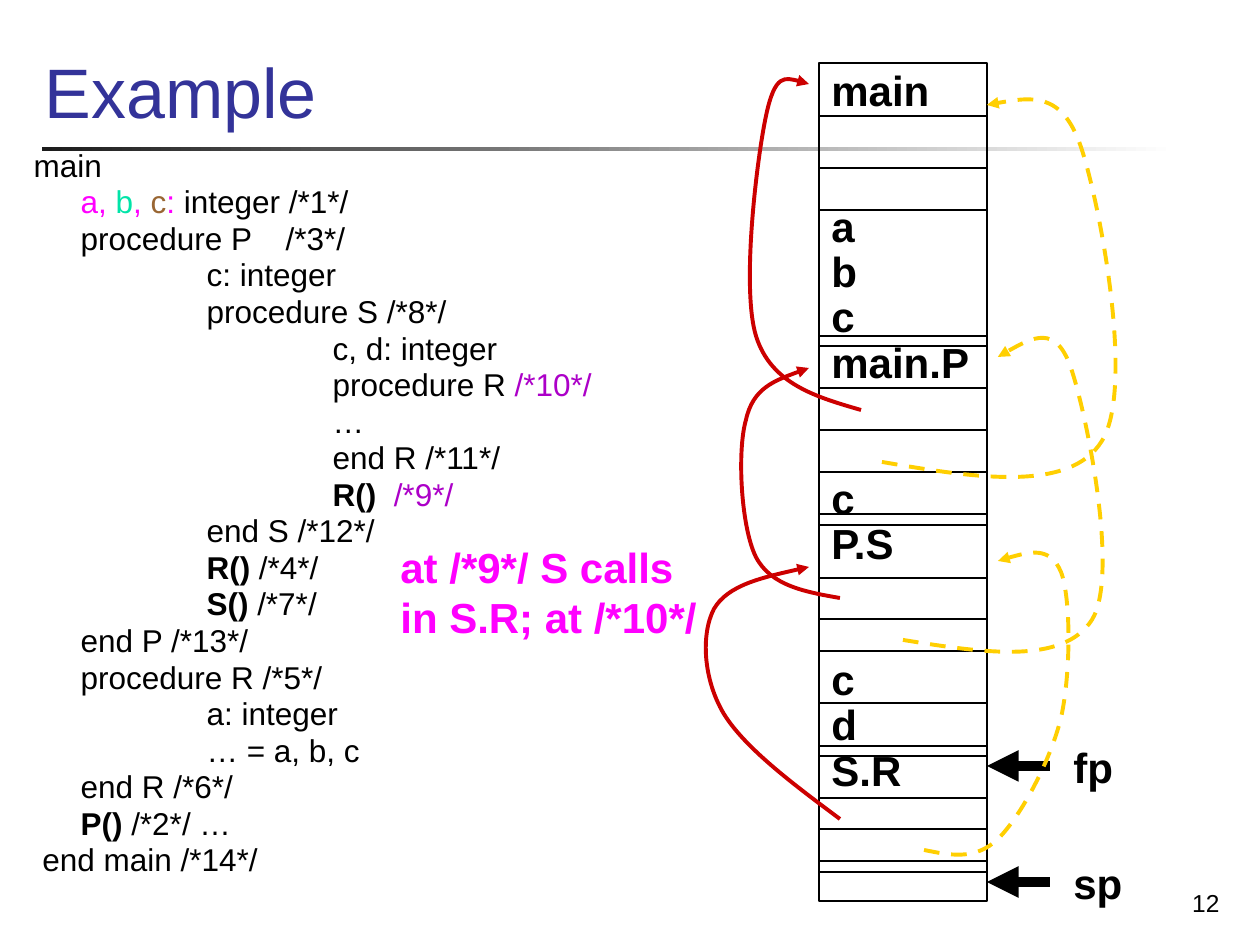
from dataclasses import dataclass, field
from typing import NamedTuple, Optional

from lxml.etree import SubElement
from pptx import Presentation
from pptx.dml.color import RGBColor
from pptx.enum.dml import MSO_LINE
from pptx.enum.shapes import MSO_CONNECTOR, MSO_SHAPE
from pptx.enum.text import MSO_ANCHOR, MSO_AUTO_SIZE, PP_ALIGN
from pptx.oxml.ns import qn
from pptx.util import Emu, Inches, Pt

SCALE = 914400 / 126
BLACK, MAGENTA, PURPLE = "000000", "FF00FF", "AC00C8"
RED, YELLOW = "CC0000", "FFCF01"
INDENTS = (0, 47, 173, 299)
STACK_LEFT, STACK_RIGHT = 819, 987
STACK_PITCH = 25.9


class Span(NamedTuple):
    text: str
    color: str = BLACK
    bold: bool = False


@dataclass
class Line:
    spans: list[Span]
    level: int = 0
    tab: Optional[int] = None
    format: dict = field(default_factory=dict)


class Curve(NamedTuple):
    color: str
    dashed: bool
    points: list[tuple[int, int]]


def px(length: float) -> Emu:
    return Emu(round(length * SCALE))


def rgb(color: str) -> RGBColor:
    return RGBColor.from_string(color)


def apply(target, values: dict) -> None:
    for name, value in values.items():
        setattr(target, name, value)


def place(box, left: int, top: int, width: int, height: int) -> None:
    apply(box, {"left": px(left), "top": px(top), "width": px(width), "height": px(height)})


def write(box, lines: list[Line], size: int, wrap: bool = True,
          anchor: MSO_ANCHOR = MSO_ANCHOR.TOP) -> None:
    frame = box.text_frame
    apply(frame, {"word_wrap": wrap, "auto_size": MSO_AUTO_SIZE.NONE,
                  "vertical_anchor": anchor})
    for index, line in enumerate(lines):
        para = frame.paragraphs[0] if index == 0 else frame.add_paragraph()
        apply(para, {"alignment": PP_ALIGN.LEFT} | line.format)
        properties = para._p.get_or_add_pPr()
        properties.set("marL", "0")
        properties.set("indent", str(px(INDENTS[line.level])))
        SubElement(properties, qn("a:buNone"))
        if line.tab:
            stops = SubElement(properties, qn("a:tabLst"))
            SubElement(stops, qn("a:tab"), pos=str(px(line.tab)), algn="l")
        for span in line.spans:
            run = para.add_run()
            run.text = span.text
            apply(run.font, {"name": "Arial", "size": Pt(size), "bold": span.bold})
            run.font.color.rgb = rgb(span.color)


def add_text(page, at: tuple, lines: list[Line], size: int, **options) -> None:
    write(page.shapes.add_textbox(*map(px, at)), lines, size, **options)


def style_line(shape, color: str, width: float, arrow: bool = False) -> None:
    shape.line.color.rgb = rgb(color)
    shape.line.width = Pt(width)
    if arrow:
        SubElement(shape.line._get_or_add_ln(), qn("a:tailEnd"), type="triangle")


def add_line(page, start: tuple, end: tuple, width: float, arrow: bool = False) -> None:
    line = page.shapes.add_connector(MSO_CONNECTOR.STRAIGHT, *map(px, start + end))
    style_line(line, BLACK, width, arrow)
    SubElement(line._element.spPr, qn("a:effectLst"))


def add_curve(page, curve: Curve) -> None:
    builder = page.shapes.build_freeform(*curve.points[0], scale=SCALE)
    builder.add_line_segments(curve.points[1:], close=False)
    shape = builder.convert_to_shape()
    # Every three points become one cubic segment
    segments = shape._element.xpath(".//a:lnTo")
    outline = segments[0].getparent()
    for index, segment in enumerate(segments):
        if index % 3 == 0:
            cubic = SubElement(outline, qn("a:cubicBezTo"))
        cubic.append(segment[0])
        outline.remove(segment)
    shape.shadow.inherit = False
    shape.fill.background()
    if curve.dashed:
        shape.line.dash_style = MSO_LINE.DASH
    style_line(shape, curve.color, 2.25, arrow=True)


def code(level: int, *spans, tab: Optional[int] = None) -> Line:
    parts = [Span(span) if isinstance(span, str) else span for span in spans]
    return Line(parts, level, tab, {"line_spacing": Pt(17.3), "space_before": Pt(3.6)})


def call(name: str) -> Span:
    return Span(name, bold=True)


PROGRAM = [
    code(0, "main"),
    code(1, Span("a,", MAGENTA), Span(" b", "00E4A8"), Span(",", MAGENTA),
         Span(" c", "996633"), Span(": ", MAGENTA), "integer /*1*/"),
    code(1, "procedure P\t/*3*/", tab=254),
    code(2, "c: integer"),
    code(2, "procedure S /*8*/"),
    code(3, "c, d: integer"),
    code(3, "procedure R ", Span("/*10*/", PURPLE)),
    code(3, "…"),
    code(3, "end R /*11*/"),
    code(3, call("R()  "), Span("/*9*/", PURPLE)),
    code(2, "end S /*12*/"),
    code(2, call("R()"), " /*4*/"),
    code(2, call("S()"), " /*7*/"),
    code(1, "end P /*13*/"),
    code(1, "procedure R /*5*/"),
    code(2, "a: integer"),
    code(2, "… = a, b, c"),
    code(1, "end R /*6*/"),
    code(1, call("P()"), " /*2*/ …"),
    code(0, " end main /*14*/"),
]
# Each stack entry with the number of empty rows above it
STACK = [("main", 0), ("a", 2), ("b", 0), ("c", 0), ("main.P", 0),
         ("c", 2), ("P.S", 0), ("c", 2), ("d", 0), ("S.R", 0)]
STACK_RULES = (116, 168, 210, 336, 346, 388, 430, 472, 514, 525, 578,
               619, 651, 703, 746, 756, 798, 829, 861, 872)
CURVES = [
    Curve(RED, False, [(861, 410), (816, 397), (771, 384), (756, 336), (741, 287),
                       (757, 158), (766, 116), (775, 73), (791, 78), (809, 84)]),
    Curve(RED, False, [(840, 598), (806, 592), (771, 586), (756, 557), (741, 527),
                       (737, 451), (746, 420), (753, 388), (781, 378), (809, 368)]),
    Curve(RED, False, [(840, 819), (793, 784), (745, 748), (724, 714), (703, 679),
                       (701, 634), (714, 609), (728, 585), (769, 576), (809, 567)]),
    Curve(YELLOW, True, [(882, 462), (975, 478), (1070, 493), (1102, 441), (1135, 388),
                         (1100, 203), (1081, 147), (1062, 91), (1024, 98), (987, 105)]),
    Curve(YELLOW, True, [(903, 640), (984, 653), (1063, 665), (1092, 620), (1120, 575),
                         (1086, 411), (1071, 368), (1056, 324), (1027, 340), (998, 357)]),
    Curve(YELLOW, True, [(924, 850), (949, 855), (975, 861), (998, 839), (1021, 816),
                         (1050, 762), (1061, 718), (1071, 673), (1071, 598), (1061, 572),
                         (1050, 546), (1023, 553), (998, 561)]),
]

deck = Presentation()
deck.slide_width, deck.slide_height = Inches(10), Inches(7.5)
page = deck.slides.add_slide(deck.slide_layouts[1])

# Title, program and the rule between them
title, body = page.placeholders[0], page.placeholders[1]
place(title, 32, 0, 1200, 139)
write(title, [Line([Span("Example", "333399")])], 40, anchor=MSO_ANCHOR.BOTTOM)
place(body, 21, 147, 599, 640)
write(body, PROGRAM, 18)
rule = page.shapes.add_shape(MSO_SHAPE.RECTANGLE, *map(px, (42, 147, 1134, 4)))
rule.shadow.inherit = False
rule.line.fill.background()
rule.fill.gradient()
rule.fill.gradient_angle = 0
for stop, color in zip(rule.fill.gradient_stops, ("1C1C1C", "FFFFFF")):
    stop.color.rgb = rgb(color)

# Stack
stack = page.shapes.add_shape(
    MSO_SHAPE.RECTANGLE, *map(px, (STACK_LEFT, 63, STACK_RIGHT - STACK_LEFT, 838)))
stack.shadow.inherit = False
stack.fill.background()
style_line(stack, BLACK, 0.75)
write(stack, [Line([Span(name, bold=True)], format={
    "line_spacing": Pt(STACK_PITCH), "space_before": Pt(STACK_PITCH * gap)})
    for name, gap in STACK], 24)
for y in STACK_RULES:
    add_line(page, (STACK_LEFT, y), (STACK_RIGHT, y), 0.75)

# Pointers into the stack
for name, top, y in (("fp", 735, 766), ("sp", 851, 882)):
    add_text(page, (1061, top, 76, 64), [Line([Span(name, bold=True)])], 24, wrap=False)
    add_line(page, (1050, y), (STACK_RIGHT, y), 6, arrow=True)

# Note and links between frames
add_text(page, (388, 535, 326, 115),
         [Line([Span(text, MAGENTA, True)], format={"line_spacing": Pt(28.8)})
          for text in ("at /*9*/ S calls", "in S.R; at /*10*/")], 24, wrap=False)
for curve in CURVES:
    add_curve(page, curve)

# Page number
add_text(page, (970, 861, 262, 63),
         [Line([Span("12")], format={"alignment": PP_ALIGN.RIGHT})], 14,
         anchor=MSO_ANCHOR.BOTTOM)

deck.save("out.pptx")
